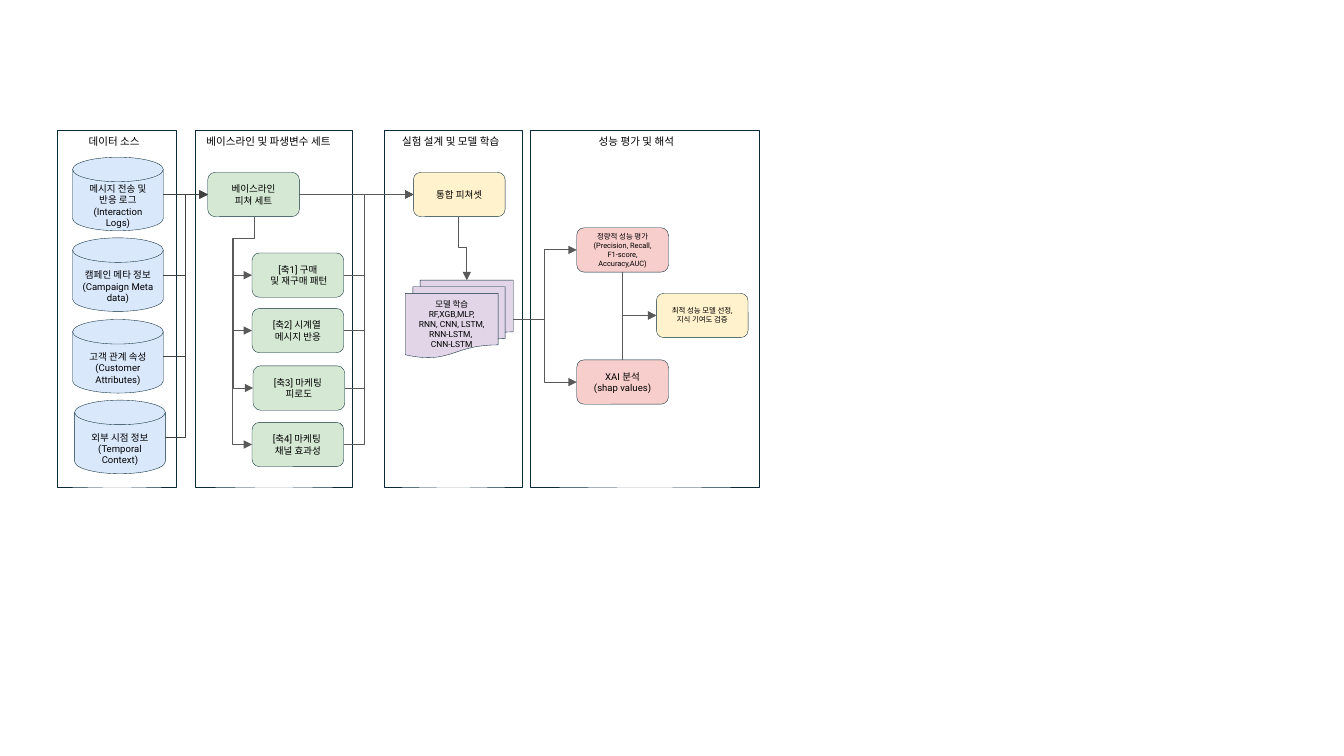
from pptx import Presentation, util as u
from pptx.dml.color import RGBColor
from pptx.enum import shapes, text
from pptx.oxml.ns import qn
from lxml import etree

# ---- Content (lengths in px, 100 px to the inch) ----
PX = 9144
COLORS = dict(outline="092A39", text="000000", blue="DAE8FC", green="D5E8D4",
              purple="E1D5E7", yellow="FFF2CC", red="F8CECC",
              source_link="404040", link="595959")
FONT = "Roboto"
BOX_W, BOX_H = 91, 44
DISK_H, DISK_TOP, DISK_STEP = 73, 156, 80.4
PANEL_TOP, PANEL_H = 129, 354

# left, width, title, title left, title width
PANELS = [
    (57, 118, "데이터 소스", 78, 81),
    (194, 155, "베이스라인 및 파생변수 세트", 195, 154),
    (381, 137, "실험 설계 및 모델 학습", 389, 128),
    (526, 227, "성능 평가 및 해석", 584, 100),
]
# left, lines
SOURCES = [
    (72, ["메시지 전송 및 반응 로그", "(Interaction Logs)"]),
    (72, ["캠페인 메타 정보", "(Campaign Meta data)"]),
    (72, ["고객 관계 속성(Customer Attributes)"]),
    (74, ["외부 시점 정보", "(Temporal Context)"]),
]
# left, top, lines
AXES = [
    (250, 251, ["[축1] 구매", " 및 재구매 패턴"]),
    (250, 306, ["[축2] 시계열 ", "메시지 반응"]),
    (251, 363, ["[축3] 마케팅 ", "피로도"]),
    (250, 419, ["[축4] 마케팅 ", "채널 효과성"]),
]
# left, top, lines, fill, text size
STEPS = {
    "baseline": (206, 171, ["베이스라인", "피쳐 세트"], "green", 6.8),
    "features": (410, 171, ["통합 피쳐셋"], "yellow", 6.8),
    "metrics": (572, 226, ["정량적 성능 평가",
                           "(Precision, Recall, F1-score, Accuracy,AUC)"], "red", 5.3),
    "xai": (572, 357, ["XAI 분석", "(shap values)"], "red", 6.8),
    "best": (651, 291, ["최적 성능 모델 선정,", "지식 기여도 검증"], "yellow", 5.3),
}
MODELS = ["모델 학습", "RF,XGB,MLP,", "RNN, CNN, LSTM,", "RNN-LSTM, ", "CNN-LSTM"]

prs = Presentation()
prs.slide_width, prs.slide_height = 1333 * PX, 750 * PX
sp_tree = prs.slides.add_slide(prs.slide_layouts[6]).shapes
SHAPE = shapes.MSO_SHAPE


def rgb(name):
    return RGBColor.from_string(COLORS[name])


def write(tf, lines, size, align):
    for i, line in enumerate(lines):
        p = tf.paragraphs[0] if i == 0 else tf.add_paragraph()
        p.alignment = align
        r = p.add_run()
        r.text = line
        for key, value in dict(name=FONT, size=u.Pt(size)).items():
            setattr(r.font, key, value)
        r.font.color.rgb = rgb("text")


def add_box(kind, x, y, w, h, fill=None, lines=(), size=6.8, top_inset=5):
    s = sp_tree.add_shape(kind, *(v * PX for v in (x, y, w, h)))
    s.shadow.inherit = False
    if fill:
        s.fill.solid()
        s.fill.fore_color.rgb = rgb(fill)
    else:
        s.fill.background()
    s.line.color.rgb = rgb("outline")
    s.line.width = u.Pt(0.25)
    tf = s.text_frame
    frame = dict(word_wrap=True, vertical_anchor=text.MSO_ANCHOR.MIDDLE,
                 margin_top=top_inset * PX)
    for key, value in frame.items():
        setattr(tf, key, value)
    write(tf, lines, size, text.PP_ALIGN.CENTER)
    return s


def add_arrow(kind, x0, y0, x1, y1, color):
    c = sp_tree.add_connector(kind, *(round(v * PX) for v in (x0, y0, x1, y1)))
    c.line.color.rgb = rgb(color)
    c.line.width = u.Pt(0.75)
    etree.SubElement(c.line._get_or_add_ln(), qn("a:tailEnd"), type="triangle")
    etree.SubElement(c._element.spPr, qn("a:effectLst"))
    return c


def add_elbow(start, end, bends, color="link", downward=False):
    """Bends are alternating turning coordinates; downward leaves vertically."""
    (x0, y0), (x1, y1) = start, end
    spans = [(x0, x1), (y0, y1)]
    box = (x0, y0, x1, y1)
    if downward:
        spans.reverse()
        # A quarter turn about the centre swaps the two extents
        cx, cy = (x0 + x1) / 2, (y0 + y1) / 2
        half_w, half_h = (y1 - y0) / 2, (x0 - x1) / 2
        box = (cx - half_w, cy - half_h, cx + half_w, cy + half_h)
    c = add_arrow(shapes.MSO_CONNECTOR.ELBOW, *box, color)
    if downward:
        c._element.spPr.find(qn("a:xfrm")).set("rot", "5400000")
    geom = c._element.spPr.find(qn("a:prstGeom"))
    geom.set("prst", f"bentConnector{len(bends) + 2}")
    guides = geom.find(qn("a:avLst"))
    for i, (bend, (a, b)) in enumerate(zip(bends, spans), 1):
        share = round((bend - a) / (b - a) * 100000)
        etree.SubElement(guides, qn("a:gd"), name=f"adj{i}", fmla=f"val {share}")


# ---- Panels and their titles ----
for x, w, title, title_x, title_w in PANELS:
    add_box(SHAPE.RECTANGLE, x, PANEL_TOP, w, PANEL_H)
    tb = sp_tree.add_textbox(*(v * PX for v in (title_x, PANEL_TOP, title_w, 23)))
    tb.text_frame.word_wrap = True
    tb.text_frame.auto_size = text.MSO_AUTO_SIZE.SHAPE_TO_FIT_TEXT
    write(tb.text_frame, [title], 7.5, text.PP_ALIGN.LEFT)

# ---- Process boxes ----
step = {name: add_box(SHAPE.ROUNDED_RECTANGLE, x, y, BOX_W, BOX_H, fill, lines, size)
        for name, (x, y, lines, fill, size) in STEPS.items()}
models = add_box(SHAPE.FLOWCHART_MULTIDOCUMENT, 402, 278, 107, 77, "purple", MODELS, 6)

# ---- Data sources, all leading to the baseline ----
STRAIGHT = shapes.MSO_CONNECTOR.STRAIGHT
main_y = 193
for i, (x, lines) in enumerate(SOURCES):
    y = DISK_TOP + round(i * DISK_STEP)
    add_box(SHAPE.FLOWCHART_MAGNETIC_DISK, x, y, 90, DISK_H, "blue", lines, top_inset=16)
    if i == 0:
        c = add_arrow(STRAIGHT, x + 90, main_y, 206, main_y, "source_link")
        c.end_connect(step["baseline"], 1)
    else:
        add_elbow((x + 90, y + 37), (206, main_y), [184], "source_link")

# ---- Derived axes: baseline in, integrated features out ----
for x, y, lines in AXES:
    add_box(SHAPE.ROUNDED_RECTANGLE, x, y, BOX_W, BOX_H, "green", lines)
    mid = y + BOX_H // 2
    add_elbow((252, 215), (x, mid), [237, 231], downward=True)
    add_elbow((x + BOX_W, mid), (410, main_y), [362])

c = add_arrow(STRAIGHT, 297, main_y, 410, main_y, "link")
c.begin_connect(step["baseline"], 3)
c.end_connect(step["features"], 1)

# ---- Training and evaluation ----
add_elbow((455, 215), (463, 278), [246], downward=True)
for end_y in (248, 379):
    add_elbow((509, 317), (572, end_y), [540])
for start_y in (270, 357):
    add_elbow((617, start_y), (651, 313), [], downward=True)

prs.save("out.pptx")
